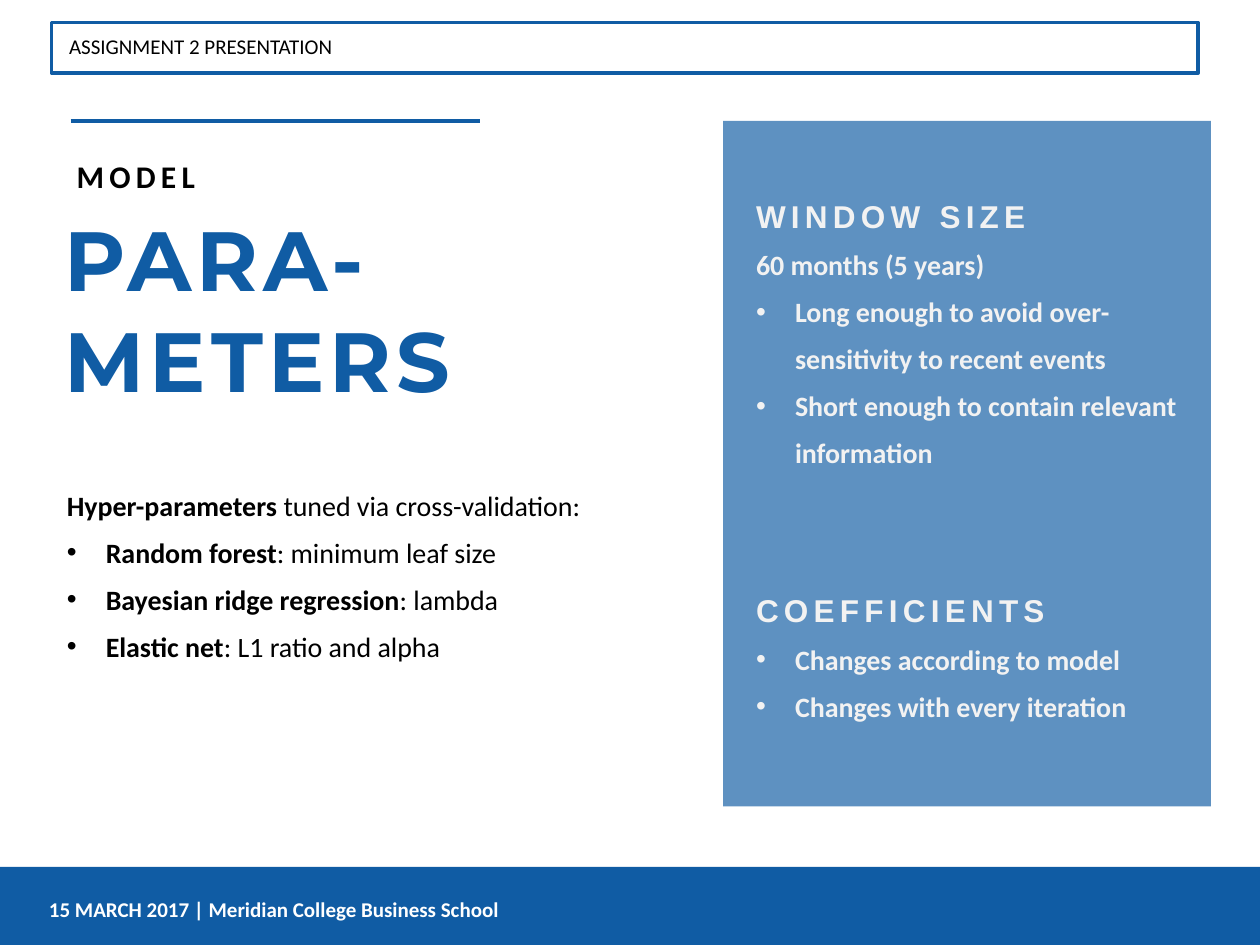
from dataclasses import dataclass
from lxml.etree import SubElement
from pptx import Presentation
from pptx.dml.color import RGBColor
from pptx.enum.shapes import MSO_CONNECTOR, MSO_SHAPE
from pptx.enum.text import MSO_ANCHOR, MSO_AUTO_SIZE, PP_ALIGN
from pptx.oxml.ns import qn
from pptx.util import Inches, Pt

COLORS = {"blue": "105CA4", "white": "FFFFFF", "black": "000000", "pale": "F2F2F2"}
INDENT = Inches(0.31)


@dataclass
class Run:
    text: str
    size: float = 16
    bold: bool = True
    color: str = "black"
    font: str = "Calibri"
    spacing: int = 0


@dataclass
class Para:
    runs: list[Run]
    bullet: bool = False
    line: float = 1.4
    before: float = 0


def rgb(name: str) -> RGBColor:
    return RGBColor.from_string(COLORS[name])


def place(sp, left: float, top: float, width: float, height: float) -> None:
    sp.left, sp.top = Inches(left), Inches(top)
    sp.width, sp.height = Inches(width), Inches(height)


def write(sp, paras: list[Para]) -> None:
    tf = sp.text_frame
    tf.word_wrap = True
    tf.auto_size = MSO_AUTO_SIZE.NONE
    tf.vertical_anchor = MSO_ANCHOR.TOP
    for i, para in enumerate(paras):
        p = tf.paragraphs[0] if i == 0 else tf.add_paragraph()
        p.alignment = PP_ALIGN.LEFT
        p.line_spacing = para.line
        p.space_before, p.space_after = Pt(para.before), Pt(0)
        pPr = p._p.get_or_add_pPr()
        pPr.set("marL", str(INDENT if para.bullet else 0))
        pPr.set("indent", str(-INDENT if para.bullet else 0))
        if para.bullet:
            SubElement(pPr, qn("a:buFont")).set("typeface", "Arial")
            SubElement(pPr, qn("a:buChar")).set("char", "•")
        else:
            SubElement(pPr, qn("a:buNone"))
        for run in para.runs:
            r = p.add_run()
            r.text = run.text
            r.font.name, r.font.size, r.font.bold = run.font, Pt(run.size), run.bold
            r.font.color.rgb = rgb(run.color)
            r._r.get_or_add_rPr().set("spc", str(run.spacing * 100))


def add_box(s, left: float, top: float, width: float, height: float,
            fill: str | None = None, line: str | None = None):
    sp = s.shapes.add_shape(MSO_SHAPE.RECTANGLE, 0, 0, 0, 0)
    place(sp, left, top, width, height)
    sp.shadow.inherit = False
    if fill:
        sp.fill.solid()
        sp.fill.fore_color.rgb = rgb(fill)
    else:
        sp.fill.background()
    if line:
        sp.line.color.rgb = rgb(line)
        sp.line.width = Pt(2.08)
    else:
        sp.line.fill.background()
    return sp


def add_label(s, left: float, top: float, width: float, height: float, run: Run) -> None:
    sp = s.shapes.add_textbox(0, 0, 0, 0)
    place(sp, left, top, width, height)
    write(sp, [Para([run], line=1)])


def heading(text: str, before: float = 0) -> Para:
    return Para([Run(text, 18, color="pale", font="Arial", spacing=3)], before=before)


def point(text: str, bullet: bool = True) -> Para:
    return Para([Run(text, color="pale")], bullet)


def term(name: str, detail: str, bullet: bool = True) -> Para:
    return Para([Run(name), Run(detail, bold=False)], bullet)


prs = Presentation()
prs.slide_width, prs.slide_height = Inches(10), Inches(7.5)
s = prs.slides.add_slide(prs.slide_layouts[3])
title, tuning, settings = s.placeholders

panel = add_box(s, 5.74, 0.96, 3.87, 5.44, "blue")
color = panel.element.find(".//" + qn("a:solidFill") + "/" + qn("a:srgbClr"))
SubElement(color, qn("a:alpha")).set("val", "67000")
s.shapes.element.insert(2, panel.element)

rule = s.shapes.add_connector(
    MSO_CONNECTOR.STRAIGHT, Inches(0.56), Inches(0.96), Inches(3.81), Inches(0.96))
rule.line.color.rgb = rgb("blue")
rule.line.width = Pt(2.08)
SubElement(rule.element.spPr, qn("a:effectLst"))

add_label(s, 0.51, 1.2, 2.26, 0.4, Run("MODEL", 18, spacing=3))
place(title, 0.41, 1.6, 5.2, 1.72)
write(title, [Para([Run(t, 48, color="blue", font="Montserrat", spacing=3)], line=1)
              for t in ("PARA-", "METERS")])

place(tuning, 0.43, 3.72, 5.15, 1.59)
write(tuning, [
    term("Hyper-parameters ", "tuned via cross-validation:", bullet=False),
    term("Random forest", ": minimum leaf size"),
    term("Bayesian ridge regression", ": lambda"),
    term("Elastic net", ": L1 ratio and alpha"),
])

place(settings, 5.9, 1.39, 3.62, 5.26)
write(settings, [
    heading("WINDOW SIZE"),
    point("60 months (5 years)", bullet=False),
    point("Long enough to avoid over-sensitivity to recent events"),
    point("Short enough to contain relevant information"),
    heading("COEFFICIENTS", before=61),
    point("Changes according to model"),
    point("Changes with every iteration"),
])

add_box(s, 0.41, 0.18, 9.1, 0.4, line="blue")
add_label(s, 0.45, 0.22, 9.1, 0.3, Run("ASSIGNMENT 2 PRESENTATION", 12, bold=False))
add_box(s, 0, 6.88, 10, 0.62, "blue")
add_label(s, 0.29, 7.07, 5.15, 0.3,
          Run("15 MARCH 2017 | Meridian College Business School", 12, color="white"))

prs.save("out.pptx")
